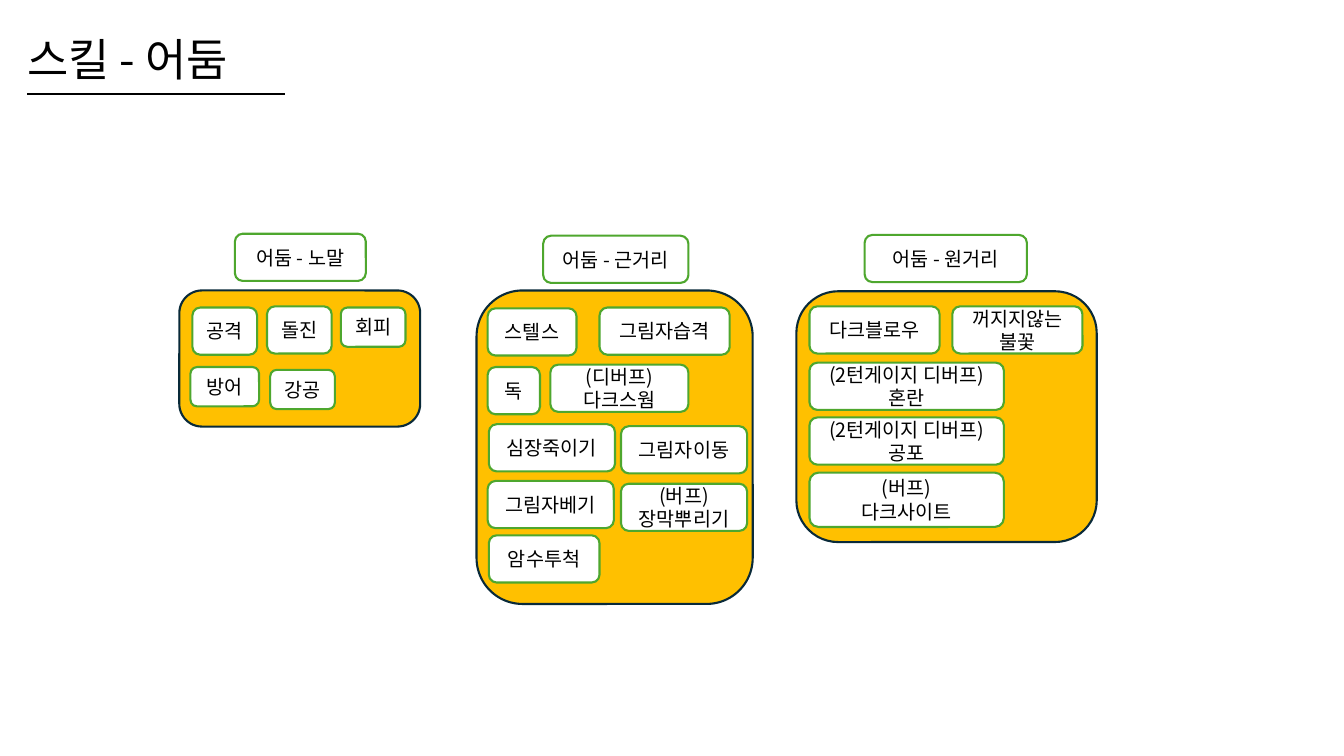
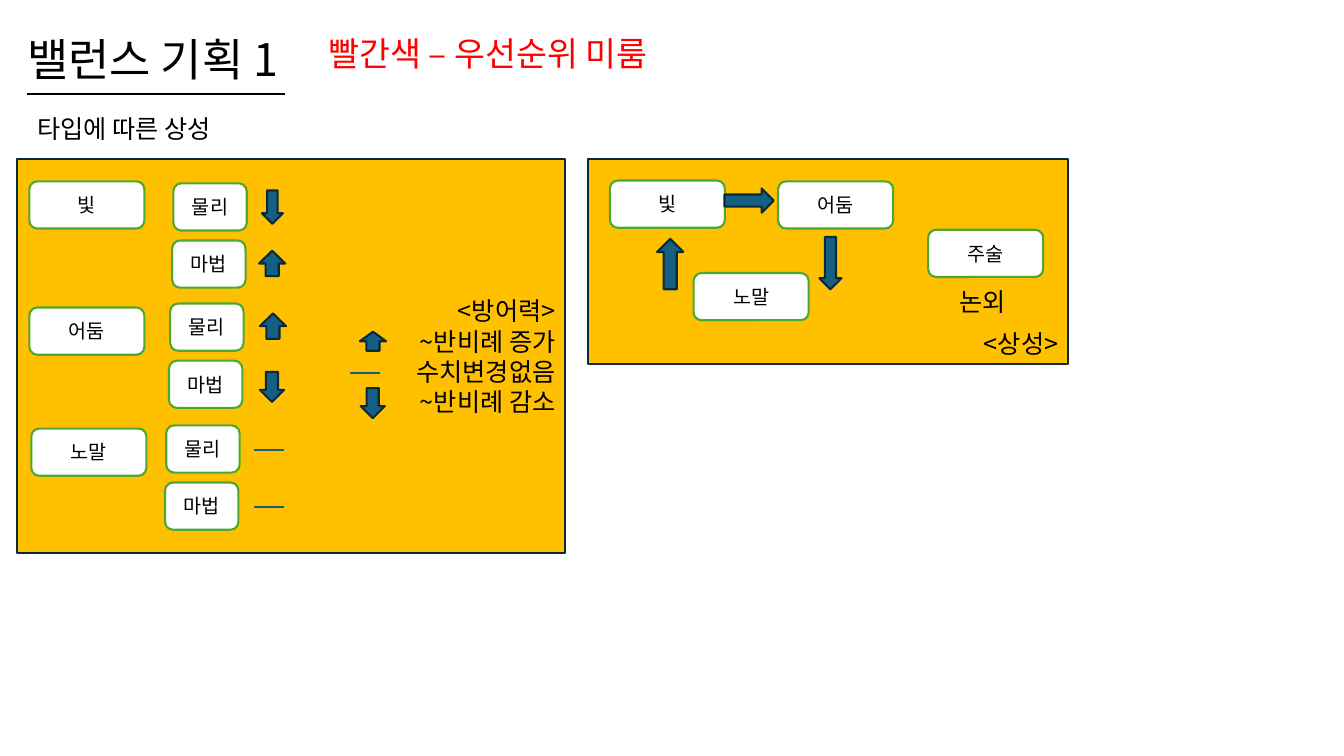
"""Build two game design slides: dark skills and type balance."""
from dataclasses import dataclass

from lxml.etree import SubElement
from pptx import Presentation
from pptx.dml.color import RGBColor
from pptx.enum.shapes import MSO_CONNECTOR, MSO_SHAPE
from pptx.enum.text import MSO_ANCHOR, MSO_AUTO_SIZE, PP_ALIGN
from pptx.oxml.ns import qn
from pptx.util import Cm, Pt


@dataclass(frozen=True)
class Theme:
    """Colours, type sizes and common measures."""
    font: str = "Noto Sans CJK KR"
    ink: str = "000000"
    red: str = "FF0000"
    paper: str = "FFFFFF"
    gold: str = "FFC000"
    navy: str = "092A39"
    green: str = "4EA72E"
    blue: str = "156082"
    title: int = 32
    note: int = 24
    body: int = 18
    chip: int = 14
    line: float = 1.5
    high: float = 1.19


THEME = Theme()
ROUND = MSO_SHAPE.ROUNDED_RECTANGLE
UP = MSO_SHAPE.UP_ARROW
DOWN = MSO_SHAPE.DOWN_ARROW
TITLE_BOX = (0.43, 0.33, 29.21, 2.44)
RULE = (0.69, 2.36, 6.5)
TYPE_WIDE = 2.9
KIND_WIDE = 1.85
KIND_STEP = (-0.03, 1.44)

SKILLS = [
    ("어둠 - 노말", (5.92, 5.89, 3.3), (4.52, 7.32, 6.07, 3.43), [
        ("공격", 4.85, 7.75, 1.63),
        ("돌진", 6.73, 7.72, 1.63),
        ("회피", 8.59, 7.75, 1.63, 0.99),
        ("방어", 4.8, 9.25, 1.73, 0.99),
        ("강공", 6.81, 9.32, 1.63, 0.99),
    ]),
    ("어둠 - 근거리", (13.69, 5.94, 3.66), (12.01, 7.32, 6.96, 7.9), [
        ("스텔스", 12.29, 7.77, 2.24),
        ("그림자습격", 15.11, 7.75, 3.28),
        ("독", 12.29, 9.25, 1.32),
        ("(디버프)\n다크스웜", 13.87, 9.19, 3.48),
        ("심장죽이기", 12.32, 10.69, 3.18),
        ("그림자이동", 15.65, 10.74, 3.18),
        ("그림자베기", 12.29, 12.12, 3.18),
        ("(버프)\n장막뿌리기", 15.65, 12.19, 3.18),
        ("암수투척", 12.32, 13.49, 2.79),
    ]),
    ("어둠 - 원거리", (21.79, 5.92, 4.09), (20.07, 7.34, 7.57, 6.32), [
        ("다크블로우", 20.4, 7.72, 3.28),
        ("꺼지지않는 불꽃", 24, 7.72, 3.28),
        ("(2턴게이지 디버프)\n혼란", 20.4, 9.14, 4.9),
        ("(2턴게이지 디버프)\n공포", 20.4, 10.52, 4.9),
        ("(버프)\n다크사이트", 20.4, 11.91, 4.9, 1.37),
    ]),
]

TYPES = [
    ("빛", (0.74, 4.57), (4.37, 4.62)),
    ("어둠", (0.74, 7.75), (4.29, 7.65)),
    ("노말", (0.79, 10.8), (4.19, 10.72)),
]
CYCLE = [
    ("노말", 17.48, 6.88),
    ("어둠", 19.61, 4.57),
    ("빛", 15.37, 4.55),
    ("주술", 23.39, 5.79),
]
ARROWS = [
    (MSO_SHAPE.RIGHT_ARROW, 18.26, 4.75, 1.24, 0.61),
    (DOWN, 20.65, 5.97, 0.56, 1.32),
    (UP, 16.56, 6.02, 0.66, 1.27),
    (DOWN, 6.6, 4.8, 0.53, 0.84),
    (UP, 6.53, 6.32, 0.66, 0.64),
    (UP, 6.55, 7.9, 0.66, 0.64),
    (DOWN, 6.55, 9.37, 0.61, 0.76),
    (UP, 9.07, 8.36, 0.66, 0.48),
    (DOWN, 9.09, 9.78, 0.61, 0.76),
]
DASHES = [(6.4, 11.35), (6.4, 12.78), (8.81, 9.4)]
DASH_WIDE = 0.76


def color(code):
    """Turn a hex code into a colour."""
    return RGBColor.from_string(code)


def apply(item, values):
    """Set each format value on an item."""
    for name, value in values.items():
        setattr(item, name, value)


def write(shape, text, size, ink=THEME.ink, align=PP_ALIGN.LEFT,
          anchor=MSO_ANCHOR.MIDDLE, space=1.0):
    """Fill a shape with formatted text."""
    frame = shape.text_frame
    frame.text = text
    apply(frame, {"word_wrap": True, "auto_size": MSO_AUTO_SIZE.NONE,
                  "vertical_anchor": anchor})
    for para in frame.paragraphs:
        apply(para, {"alignment": align, "line_spacing": space})
        for run in para.runs:
            apply(run.font, {"size": Pt(size), "name": THEME.font})
            run.font.color.rgb = color(ink)
            props = run.font._element
            SubElement(props, qn("a:ea")).set("typeface", THEME.font)


def add_form(slide, kind, box, fill, edge):
    """Add a filled and outlined preset shape."""
    shape = slide.shapes.add_shape(kind, *map(Cm, box))
    shape.shadow.inherit = False
    shape.fill.solid()
    shape.fill.fore_color.rgb = color(fill)
    shape.line.color.rgb = color(edge)
    shape.line.width = Pt(THEME.line)
    return shape


def add_panel(slide, kind, box):
    """Add a gold panel."""
    return add_form(slide, kind, box, THEME.gold, THEME.navy)


def add_chip(slide, text, left, top, wide, high=THEME.high):
    """Add a white label with a green edge."""
    chip = add_form(slide, ROUND, (left, top, wide, high),
                    THEME.paper, THEME.green)
    write(chip, text, THEME.chip, align=PP_ALIGN.CENTER)


def add_line(slide, left, top, wide, ink):
    """Add a level line."""
    line = slide.shapes.add_connector(
        MSO_CONNECTOR.STRAIGHT, Cm(left), Cm(top), Cm(left + wide), Cm(top))
    line.line.color.rgb = color(ink)
    line.line.width = Pt(THEME.line)
    SubElement(line.element.spPr, qn("a:effectLst"))


def add_text(slide, text, box, size, **style):
    """Add a text box."""
    write(slide.shapes.add_textbox(*map(Cm, box)), text, size, **style)


def add_page(deck, text):
    """Add a slide with an underlined title."""
    slide = deck.slides.add_slide(deck.slide_layouts[5])
    title = slide.shapes.title
    sides = ("left", "top", "width", "height")
    apply(title, dict(zip(sides, map(Cm, TITLE_BOX))))
    write(title, text, THEME.title, space=0.9)
    add_line(slide, *RULE, THEME.ink)
    return slide


def add_skills(deck):
    """Build the dark skill slide."""
    slide = add_page(deck, "스킬 - 어둠")
    for name, head, panel, chips in SKILLS:
        add_panel(slide, ROUND, panel)
        add_chip(slide, name, *head)
        for chip in chips:
            add_chip(slide, *chip)


def add_balance(deck):
    """Build the type balance slide."""
    slide = add_page(deck, "밸런스 기획 1")
    add_text(slide, "빨간색 – 우선순위 미룸", (8.03, 0.38, 10.97, 2.03),
             THEME.note, ink=THEME.red, space=0.9)
    add_text(slide, "타입에 따른 상성", (0.69, 2.72, 22.48, 1.02), THEME.body)
    match = add_panel(slide, MSO_SHAPE.RECTANGLE, (14.83, 4.01, 12.09, 5.16))
    write(match, "<상성>", THEME.body, align=PP_ALIGN.RIGHT,
          anchor=MSO_ANCHOR.BOTTOM)
    guard = add_panel(slide, MSO_SHAPE.RECTANGLE, (0.43, 4.01, 13.82, 9.93))
    write(guard, "<방어력>\n~반비례 증가\n수치변경없음\n~반비례 감소",
          THEME.body, align=PP_ALIGN.RIGHT)
    for name, spot, (left, top) in TYPES:
        add_chip(slide, name, *spot, TYPE_WIDE)
        for step, kind in enumerate(("물리", "마법")):
            add_chip(slide, kind, left + step * KIND_STEP[0],
                     top + step * KIND_STEP[1], KIND_WIDE)
    for name, left, top in CYCLE:
        add_chip(slide, name, left, top, TYPE_WIDE)
    for kind, *box in ARROWS:
        add_form(slide, kind, box, THEME.blue, THEME.navy)
    for left, top in DASHES:
        add_line(slide, left, top, DASH_WIDE, THEME.blue)
    add_text(slide, "논외", (23.93, 7.09, 1.8, 1.02), THEME.body)


def main():
    """Build and save the deck."""
    deck = Presentation()
    apply(deck, {"slide_width": Cm(33.87), "slide_height": Cm(19.05)})
    add_skills(deck)
    add_balance(deck)
    deck.save("out.pptx")


if __name__ == "__main__":
    main()
